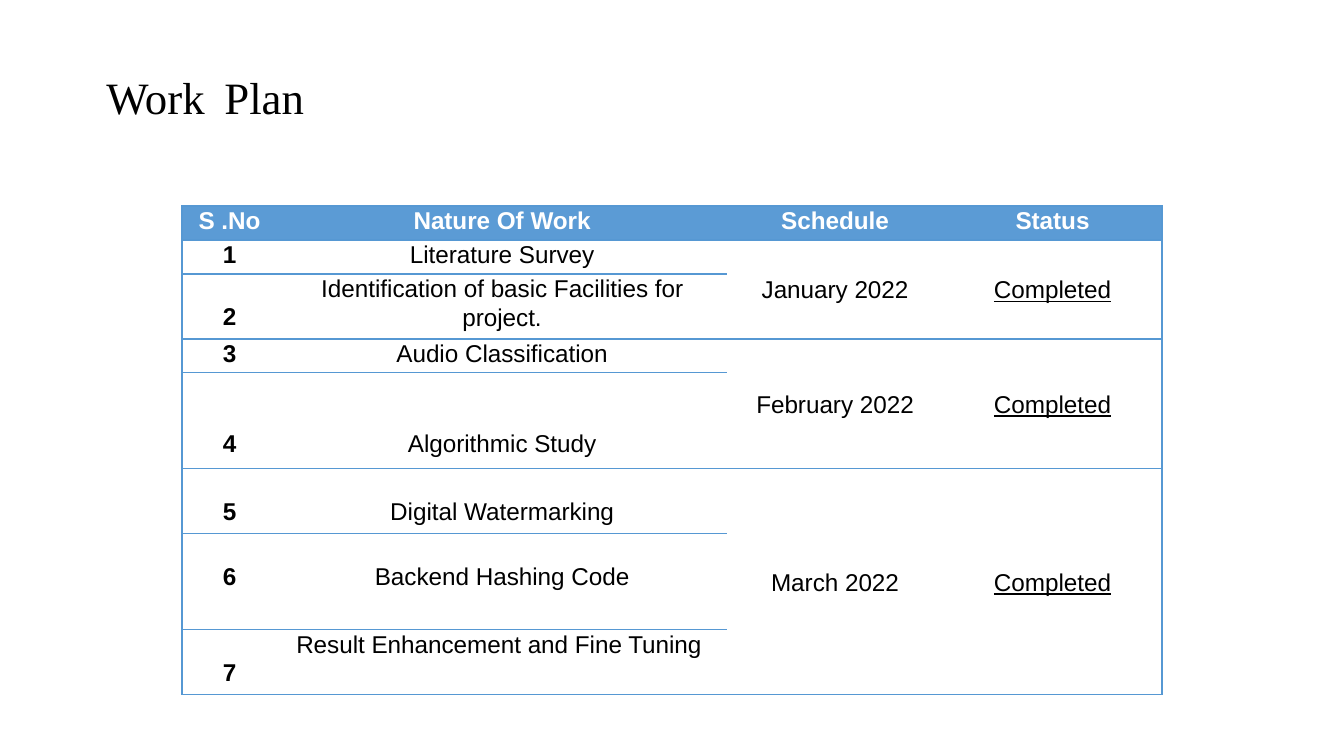
from itertools import product

from lxml.etree import SubElement
from pptx import Presentation
from pptx.dml.color import RGBColor
from pptx.enum.text import MSO_ANCHOR, PP_ALIGN
from pptx.oxml.ns import qn
from pptx.util import Pt

PX = 914400 / 134.4
BLUE, BORDER, BLACK, WHITE = "5B9BD5", "5698D3", "000000", "FFFFFF"
LINE = 28  # height of one text line, px

HEADERS = ["S .No", "Nature Of Work", "Schedule", "Status"]
# Work item, then text lines to drop the number and the item by
TASKS = [
    ("Literature Survey", 0, 0),
    ("Identification of basic Facilities for project.", 1, 0),
    ("Audio Classification", 0, 0),
    ("Algorithmic Study", 2, 2),
    ("Digital Watermarking", 1, 1),
    ("Backend Hashing Code", 1, 1),
    ("Result Enhancement and Fine Tuning ", 1, 0),
]
# First row, last row, schedule, status
PERIODS = [
    (1, 2, "January 2022", "Completed"),
    (3, 4, "February 2022", "Completed"),
    (5, 7, "March 2022", "Completed"),
]
COLUMN_WIDTHS = [95, 450, 216, 219]
ROW_HEIGHTS = [34, 34, 65, 34, 96, 65, 96, 65]


def px(length):
    return round(length * PX)


def color(code):
    return RGBColor.from_string(code)


def add_span(para, text, fill, **formats):
    span = para.add_run()
    span.text = text
    span.font.color.rgb = color(fill)
    for key, value in formats.items():
        setattr(span.font, key, value)


def write_cell(cell, text, fill=BLACK, drop=0, anchor=MSO_ANCHOR.TOP, **formats):
    """Write centred text, lowered by a number of text lines."""
    cell.margin_top = px(drop * LINE)
    cell.vertical_anchor = anchor
    para = cell.text_frame.paragraphs[0]
    para.alignment = PP_ALIGN.CENTER
    para.line_spacing = 1.07
    add_span(para, text, fill, name="Arial", size=Pt(13), **formats)


def set_borders(cell, sides):
    """Draw the named sides (of L, R, T, B) and clear the others."""
    properties = cell._tc.get_or_add_tcPr()
    for position, side in enumerate("LRTB"):
        line = properties.makeelement(qn(f"a:ln{side}"), {"w": str(Pt(0.75))})
        if side in sides:
            solid = SubElement(line, qn("a:solidFill"))
            SubElement(solid, qn("a:srgbClr"), val=BORDER)
        else:
            SubElement(line, qn("a:noFill"))
        properties.insert(position, line)


def add_title(page, left, top, width, height):
    box = page.shapes.add_textbox(px(left), px(top), px(width), px(height))
    frame = box.text_frame
    frame.word_wrap = True
    frame.vertical_anchor = MSO_ANCHOR.BOTTOM
    para = frame.paragraphs[0]
    para.line_spacing = 0.9
    para.space_after = Pt(6)
    for text, font, size in [("Work", "Times New Roman", 24), (" ", "Arial", 38),
                             ("Plan", "Times New Roman", 24)]:
        add_span(para, text, BLACK, name=font, size=Pt(size))


def border_sides(row, column):
    starts = [0] + [period[0] for period in PERIODS]
    ends = [0] + [period[1] for period in PERIODS]
    sides = {0: "L", 3: "R"}.get(column, "")
    if column < 2 or row in starts:
        sides += "T"
    if column < 2 or row in starts or row in ends:
        sides += "B"
    return sides


def add_plan(page, left, top):
    rows, columns = len(ROW_HEIGHTS), len(COLUMN_WIDTHS)
    table = page.shapes.add_table(
        rows, columns, px(left), px(top),
        px(sum(COLUMN_WIDTHS)), px(sum(ROW_HEIGHTS))).table
    table.horz_banding = False
    for column, width in zip(table.columns, COLUMN_WIDTHS):
        column.width = px(width)
    for row, height in zip(table.rows, ROW_HEIGHTS):
        row.height = px(height)

    for row, column in product(range(rows), range(columns)):
        cell = table.cell(row, column)
        cell.margin_left = cell.margin_right = px(7)
        cell.margin_top = cell.margin_bottom = 0
        cell.fill.solid()
        cell.fill.fore_color.rgb = color(WHITE if row else BLUE)
        set_borders(cell, border_sides(row, column))

    for column, header in enumerate(HEADERS):
        write_cell(table.cell(0, column), header, WHITE, bold=True)
    for row, (task, number_drop, task_drop) in enumerate(TASKS, 1):
        write_cell(table.cell(row, 0), str(row), drop=number_drop, bold=True)
        write_cell(table.cell(row, 1), task, drop=task_drop, bold=False)
    for first, last, *texts in PERIODS:
        for column, text in enumerate(texts, 2):
            cell = table.cell(first, column)
            cell.merge(table.cell(last, column))
            write_cell(cell, text, anchor=MSO_ANCHOR.MIDDLE,
                       bold=False, underline=column == 3)


def main():
    deck = Presentation()
    deck.slide_width, deck.slide_height = px(1344), px(756)
    page = deck.slides.add_slide(deck.slide_layouts[6])
    add_title(page, 93, 32, 1158, 104)
    add_plan(page, 182, 206)
    deck.save("out.pptx")


if __name__ == "__main__":
    main()
